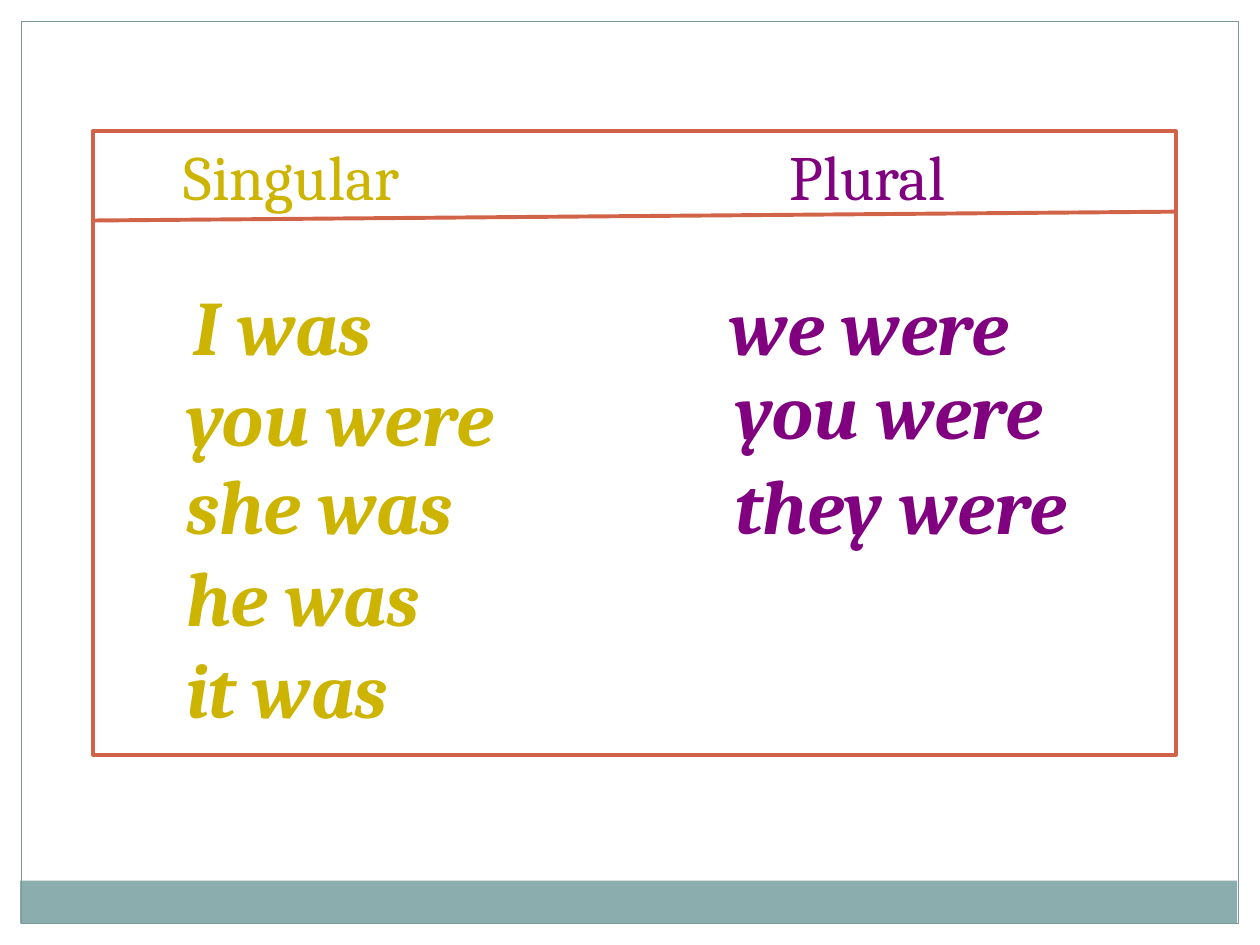
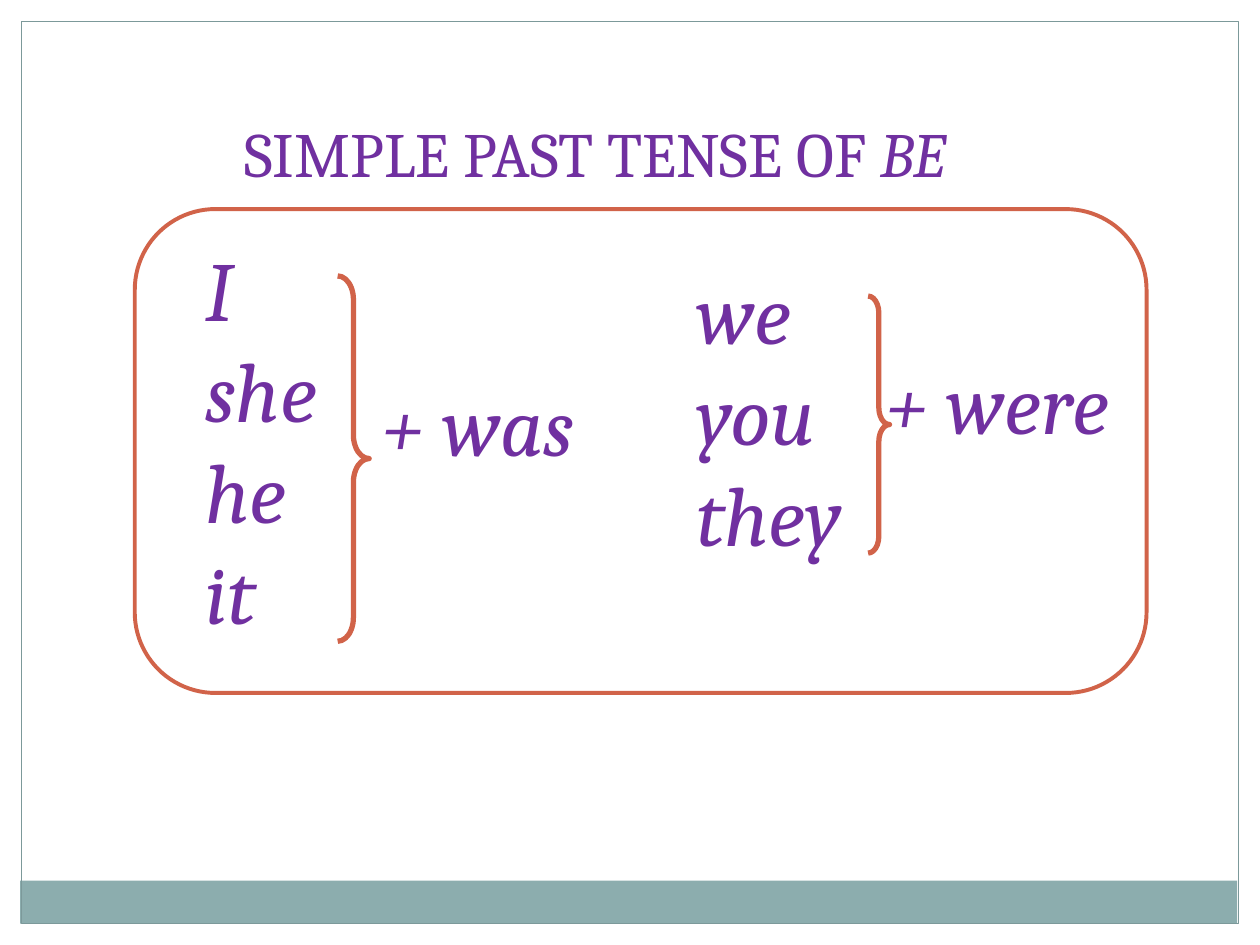
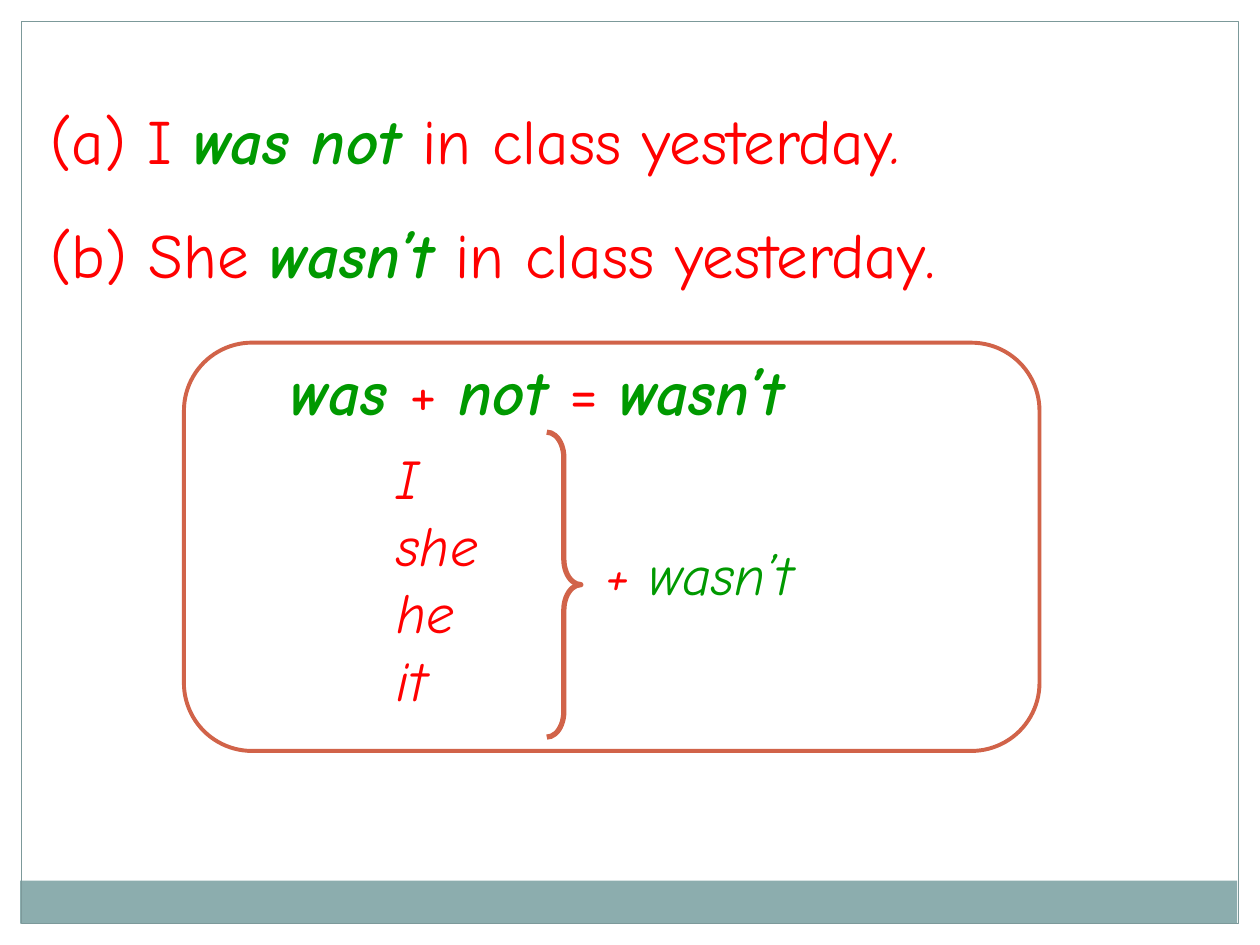
from lxml.etree import SubElement
from pptx import Presentation
from pptx.dml.color import RGBColor
from pptx.enum.shapes import MSO_CONNECTOR, MSO_SHAPE
from pptx.enum.text import MSO_ANCHOR, MSO_AUTO_SIZE, PP_ALIGN
from pptx.oxml.ns import qn
from pptx.util import Inches, Pt

WHITE = RGBColor(0xFF, 0xFF, 0xFF)
TEAL = RGBColor(0x8C, 0xAD, 0xAE)
FRAME_GREY = RGBColor(0x7C, 0x99, 0x9A)
RUST = RGBColor(0xD1, 0x63, 0x49)
MUSTARD = RGBColor(0xCC, 0xB4, 0x00)
PURPLE = RGBColor(0x80, 0x00, 0x80)
VIOLET = RGBColor(0x70, 0x30, 0xA0)
RED = RGBColor(0xFF, 0x00, 0x00)
GREEN = RGBColor(0x00, 0x99, 0x00)

SERIF = "Cambria"
HANDWRITTEN = "Comic Neue"

# Run styles: font, size, colour, bold, italic
SINGULAR_HEADING = (SERIF, 36, MUSTARD, False, False)
PLURAL_HEADING = (SERIF, 36, PURPLE, False, False)
SINGULAR_FORM = (SERIF, 44, MUSTARD, True, True)
PLURAL_FORM = (SERIF, 44, PURPLE, True, True)
TITLE = (SERIF, 36, VIOLET, False, False)
TITLE_ITALIC = (SERIF, 36, VIOLET, False, True)
PRONOUN = (SERIF, 48, VIOLET, False, True)
SENTENCE = (HANDWRITTEN, 36, RED, False, False)
SENTENCE_ITALIC = (HANDWRITTEN, 36, RED, False, True)
NEGATIVE = (HANDWRITTEN, 36, GREEN, True, True)
SMALL_PRONOUN = (HANDWRITTEN, 32, RED, False, True)
SMALL_NEGATIVE = (HANDWRITTEN, 32, GREEN, False, True)


def write(shape, paragraphs, gap=0):
    """Fill a shape with paragraphs, each a list of (text, style) runs."""
    frame = shape.text_frame
    frame.word_wrap = True
    frame.auto_size = MSO_AUTO_SIZE.SHAPE_TO_FIT_TEXT
    frame.vertical_anchor = MSO_ANCHOR.TOP
    for index, runs in enumerate(paragraphs):
        paragraph = frame.add_paragraph() if index else frame.paragraphs[0]
        paragraph.alignment = PP_ALIGN.LEFT
        paragraph.space_before = Pt(gap if index else 0)
        for text, (font_name, size, color, bold, italic) in runs:
            run = paragraph.add_run()
            run.text = text
            run.font.name = font_name
            run.font.size = Pt(size)
            run.font.color.rgb = color
            run.font.bold = bold
            run.font.italic = italic


def add_panel(slide, kind, box, fill=None, line=None, width=2.25):
    shape = slide.shapes.add_shape(kind, *map(Inches, box))
    shape.shadow.inherit = False
    if fill is None:
        shape.fill.background()
    else:
        shape.fill.solid()
        shape.fill.fore_color.rgb = fill
    if line is None:
        shape.line.fill.background()
    else:
        shape.line.color.rgb = line
        shape.line.width = Pt(width)
    return shape


presentation = Presentation()
presentation.slide_width = Inches(10)
presentation.slide_height = Inches(7.5)
title_only, blank = presentation.slide_layouts[5], presentation.slide_layouts[6]
forms_slide = presentation.slides.add_slide(blank)
affirmative_slide = presentation.slides.add_slide(title_only)
negative_slide = presentation.slides.add_slide(blank)

# Shared frame: drawn once, then moved to the back of the slide master
master_tree = presentation.slide_master.element.cSld.spTree
frame_parts = [
    ((0, 0, 10, 0.17), WHITE, None),
    ((9.83, 0, 0.17, 7.5), WHITE, None),
    ((0, 0, 0.17, 7.5), WHITE, None),
    ((0.16, 6.99, 9.66, 0.34), TEAL, None),
    ((0.17, 0.17, 9.66, 7.16), None, FRAME_GREY),
]
for position, (box, fill, line) in enumerate(frame_parts, start=2):
    part = add_panel(forms_slide, MSO_SHAPE.RECTANGLE, box, fill, line, 0.75)
    master_tree.insert(position, part.element)

# Slide 1: singular and plural forms
divider = forms_slide.shapes.add_connector(
    MSO_CONNECTOR.STRAIGHT, Inches(0.74), Inches(1.75), Inches(9.33), Inches(1.68))
divider.line.color.rgb = RUST
divider.line.width = Pt(2.25)
SubElement(divider.element.spPr, qn("a:effectLst"))

forms = [
    ((1.36, 1.04, 2.08, 0.71), SINGULAR_HEADING, ["Singular"]),
    ((6.17, 1.04, 1.55, 0.71), PLURAL_HEADING, ["Plural"]),
    ((1.44, 2.16, 1.95, 0.84), SINGULAR_FORM, ["I was"]),
    ((5.69, 2.16, 2.89, 0.84), PLURAL_FORM, ["we were"]),
    ((1.38, 2.88, 3.18, 0.84), SINGULAR_FORM, ["you were"]),
    ((5.74, 2.83, 3.18, 0.84), PLURAL_FORM, ["you were"]),
    ((1.38, 3.58, 2.74, 2.32), SINGULAR_FORM, ["she was", "he was", "it was"]),
    ((5.74, 3.58, 3.38, 0.84), PLURAL_FORM, ["they were"]),
]
for box, style, lines in forms:
    textbox = forms_slide.shapes.add_textbox(*map(Inches, box))
    write(textbox, [[(line, style)] for line in lines])
add_panel(forms_slide, MSO_SHAPE.RECTANGLE, (0.74, 1.04, 8.59, 4.95), line=RUST)

# Slide 2: pronouns with was and were
title = affirmative_slide.shapes.title
title.left, title.top, title.width, title.height = map(Inches, (1.84, 0.86, 6.8, 0.71))
write(title, [[("SIMPLE PAST TENSE OF ", TITLE), ("BE", TITLE_ITALIC)]])

# Rounded panels and braces of slides 2 and 3
for slide, box in [(affirmative_slide, (1.07, 1.66, 8.03, 3.84)),
                   (negative_slide, (1.46, 2.72, 6.79, 3.24))]:
    add_panel(slide, MSO_SHAPE.ROUNDED_RECTANGLE, box, line=RUST)
for slide, box, curve in [(affirmative_slide, (2.68, 2.19, 0.25, 2.9), 0.75),
                          (affirmative_slide, (6.89, 2.35, 0.17, 2.04), 0.79),
                          (negative_slide, (4.34, 3.43, 0.27, 2.42), 0.75)]:
    brace = add_panel(slide, MSO_SHAPE.RIGHT_BRACE, box, line=RUST, width=3)
    brace.adjustments[0] = curve

pronoun_groups = [
    ((1.53, 1.84, 1.19, 3.33), ["I", "she", "he", "it"]),
    ((2.93, 2.91, 2.03, 0.91), ["+ was"]),
    ((5.43, 2.02, 1.51, 2.52), ["we", "you", "they"]),
    ((6.93, 2.73, 2.3, 0.91), ["+ were"]),
]
for box, lines in pronoun_groups:
    textbox = affirmative_slide.shapes.add_textbox(*map(Inches, box))
    write(textbox, [[(line, PRONOUN)] for line in lines])

# Slide 3: negative forms
negative_texts = [
    ((0.3, 0.76, 8.83, 1.6), [
        [("(a) I ", SENTENCE), ("was not ", NEGATIVE),
         ("in class yesterday", SENTENCE), (".", SENTENCE_ITALIC)],
        [("(b) She ", SENTENCE), ("wasn’t ", NEGATIVE),
         ("in class yesterday.", SENTENCE)],
    ], 21.5),
    ((2.21, 2.75, 5.07, 0.71), [
        [("was ", NEGATIVE), ("+ ", SENTENCE), ("not ", NEGATIVE),
         ("= ", SENTENCE), ("wasn’t", NEGATIVE)],
    ], 0),
    ((4.71, 4.23, 2, 0.64), [[("+ ", SMALL_PRONOUN), ("wasn’t", SMALL_NEGATIVE)]], 0),
    ((3.05, 3.47, 1, 2.26),
     [[(pronoun, SMALL_PRONOUN)] for pronoun in ("I", "she", "he", "it")], 0),
]
for box, paragraphs, gap in negative_texts:
    write(negative_slide.shapes.add_textbox(*map(Inches, box)), paragraphs, gap)

presentation.save("out.pptx")
